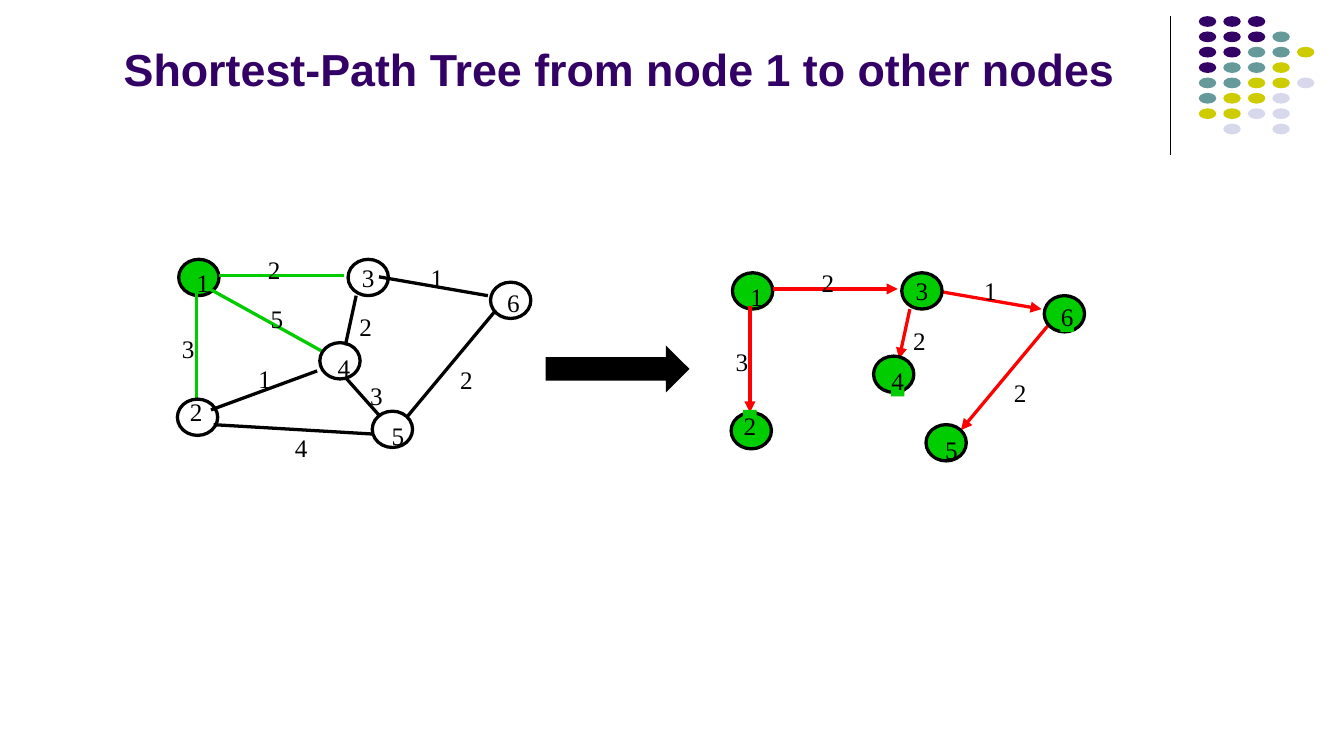
import pptx
import pptx.util
import pptx.dml.color
import pptx.oxml.ns
import pptx.enum.shapes
import pptx.enum.text
from lxml import etree

Inches, Pt = pptx.util.Inches, pptx.util.Pt
Kind = pptx.enum.shapes.MSO_SHAPE

TITLE = "Shortest-Path Tree from node 1 to other nodes"
GREEN, RED, BLACK, PURPLE = "00CC00", "FF0000", "000000", "330066"

# name, ellipse corner, label corner, label is filled in the tree
NODES = [
    ("1", (1.33, 1.93), (1.46, 1.99), False),
    ("2", (1.32, 2.97), (1.41, 2.95), True),
    ("3", (2.59, 1.93), (2.69, 1.95), False),
    ("4", (2.38, 2.55), (2.51, 2.62), True),
    ("5", (2.77, 3.06), (2.91, 3.13), False),
    ("6", (3.65, 2.10), (3.77, 2.14), True),
]
# start, end, weight, label corner, colour in the graph, is in the tree
EDGES = [
    ((1.63, 2.05), (2.56, 2.05), "2", (1.99, 1.89), GREEN, True),
    ((1.46, 2.18), (1.46, 2.97), "3", (1.35, 2.48), GREEN, True),
    ((1.56, 2.15), (2.39, 2.61), "5", (2.01, 2.26), GREEN, False),
    ((2.65, 2.20), (2.57, 2.57), "2", (2.67, 2.32), BLACK, True),
    ((2.82, 2.06), (3.63, 2.20), "1", (3.20, 1.95), BLACK, True),
    ((3.68, 2.32), (3.03, 3.10), "2", (3.42, 2.71), BLACK, True),
    ((2.58, 2.82), (2.83, 3.10), "3", (2.75, 2.83), BLACK, False),
    ((2.36, 2.76), (1.57, 3.05), "1", (1.92, 2.70), BLACK, False),
    ((2.78, 3.23), (1.59, 3.16), "4", (2.19, 3.22), BLACK, False),
]
SHIFT = (4.12, 0.1)  # from the graph to its tree

DOTS = ["PPP", "PPPT", "PPTTY", "PTTY", "TTYYL", "TYYL", "YYLL", " L L"]
TINTS = {"P": PURPLE, "T": "669999", "Y": "CCCC00", "L": "D8D8EC"}

deck = pptx.Presentation()
deck.slide_width = Inches(10)
deck.slide_height = deck.slide_width * 9 // 16
slide = deck.slides.add_slide(deck.slide_layouts[5])
shapes = slide.shapes


def rgb(code):
    return pptx.dml.color.RGBColor.from_string(code)


def paint(part, code):
    part.fill.solid()
    part.fill.fore_color.rgb = rgb(code)


def shape(kind, x, y, w, h, fill=None, line=None):
    part = shapes.add_shape(kind, *map(Inches, (x, y, w, h)))
    part.shadow.inherit = False
    if fill:
        paint(part, fill)
    else:
        part.fill.background()
    if line:
        part.line.color.rgb = rgb(line)
        part.line.width = Pt(1.75)
    else:
        part.line.fill.background()


def line(start, end, color, width=1.75, arrow=False):
    part = shapes.add_connector(pptx.enum.shapes.MSO_CONNECTOR.STRAIGHT,
                                *map(Inches, (*start, *end)))
    part.line.color.rgb = rgb(color)
    part.line.width = Pt(width)
    qn = pptx.oxml.ns.qn
    if arrow:
        tip = etree.SubElement(part.line._get_or_add_ln(), qn("a:tailEnd"))
        tip.set("type", "triangle")
    etree.SubElement(part._element.spPr, qn("a:effectLst"))


def write(frame, text, font, size, color, bold=False):
    run = frame.paragraphs[0].add_run()
    run.text = text
    run.font.name, run.font.size, run.font.bold = font, Pt(size), bold
    run.font.color.rgb = rgb(color)


def label(text, x, y, fill=None):
    box = shapes.add_textbox(*map(Inches, (x, y, 0.1, 0.23)))
    if fill:
        paint(box, fill)
    frame = box.text_frame
    frame.margin_left = frame.margin_right = 0
    frame.margin_top = frame.margin_bottom = 0
    frame.word_wrap = False
    frame.auto_size = pptx.enum.text.MSO_AUTO_SIZE.SHAPE_TO_FIT_TEXT
    frame.paragraphs[0].alignment = pptx.enum.text.PP_ALIGN.CENTER
    write(frame, text, "Times New Roman", 13.5, BLACK)


def draw(tree):
    """Draw the whole graph, or its shortest-path tree beside it."""
    dx, dy = SHIFT if tree else (0, 0)

    def move(spot):
        return spot[0] + dx, spot[1] + dy

    def node(name, spot, mark, boxed):
        fill = GREEN if tree or name == "1" else None
        shape(Kind.OVAL, *move(spot), 0.3, 0.27, fill, BLACK)
        label(name, *move(mark), GREEN if tree and boxed else None)

    node(*NODES[0])  # edges lie over the root and under the others
    for start, end, weight, mark, color, kept in EDGES:
        if kept or not tree:
            line(move(start), move(end), RED if tree else color, arrow=tree)
            label(weight, *move(mark))
    for item in NODES[1:]:
        node(*item)


title = shapes.title
title.left, title.top, title.width, title.height = map(
    Inches, (0.82, 0.1, 7.87, 0.66))
head = title.text_frame
head.auto_size = pptx.enum.text.MSO_AUTO_SIZE.NONE
head.vertical_anchor = pptx.enum.text.MSO_ANCHOR.BOTTOM
head.paragraphs[0].alignment = pptx.enum.text.PP_ALIGN.LEFT
write(head, TITLE, "Arial", 24, PURPLE, True)

line((8.71, 0.12), (8.71, 1.15), BLACK, 0.75)
for row, marks in enumerate(DOTS):
    for col, mark in enumerate(marks):
        if mark in TINTS:
            shape(Kind.OVAL, 8.92 + col * 0.73 / 4, 0.12 + row * 0.8 / 7,
                  0.13, 0.08, TINTS[mark])

draw(tree=False)
draw(tree=True)
shape(Kind.RIGHT_ARROW, 4.06, 2.57, 1.07, 0.35, BLACK)

deck.save("out.pptx")
